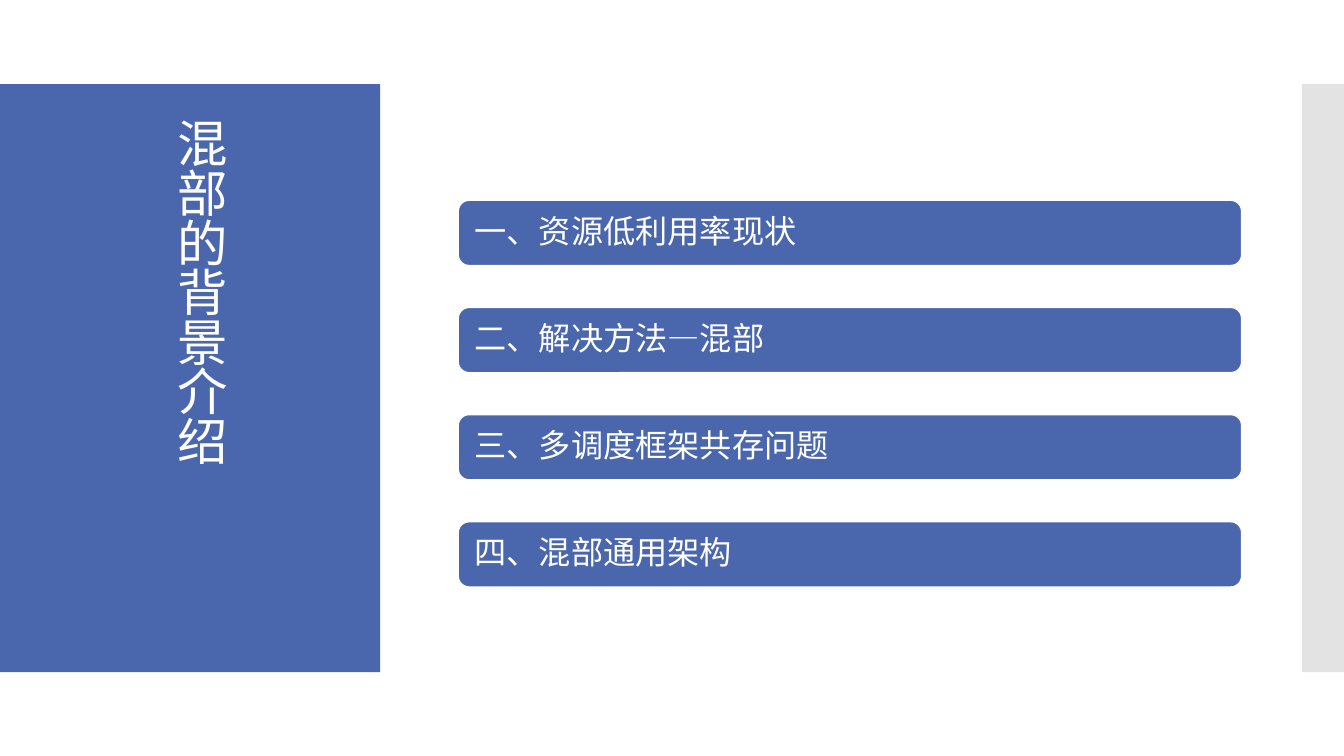
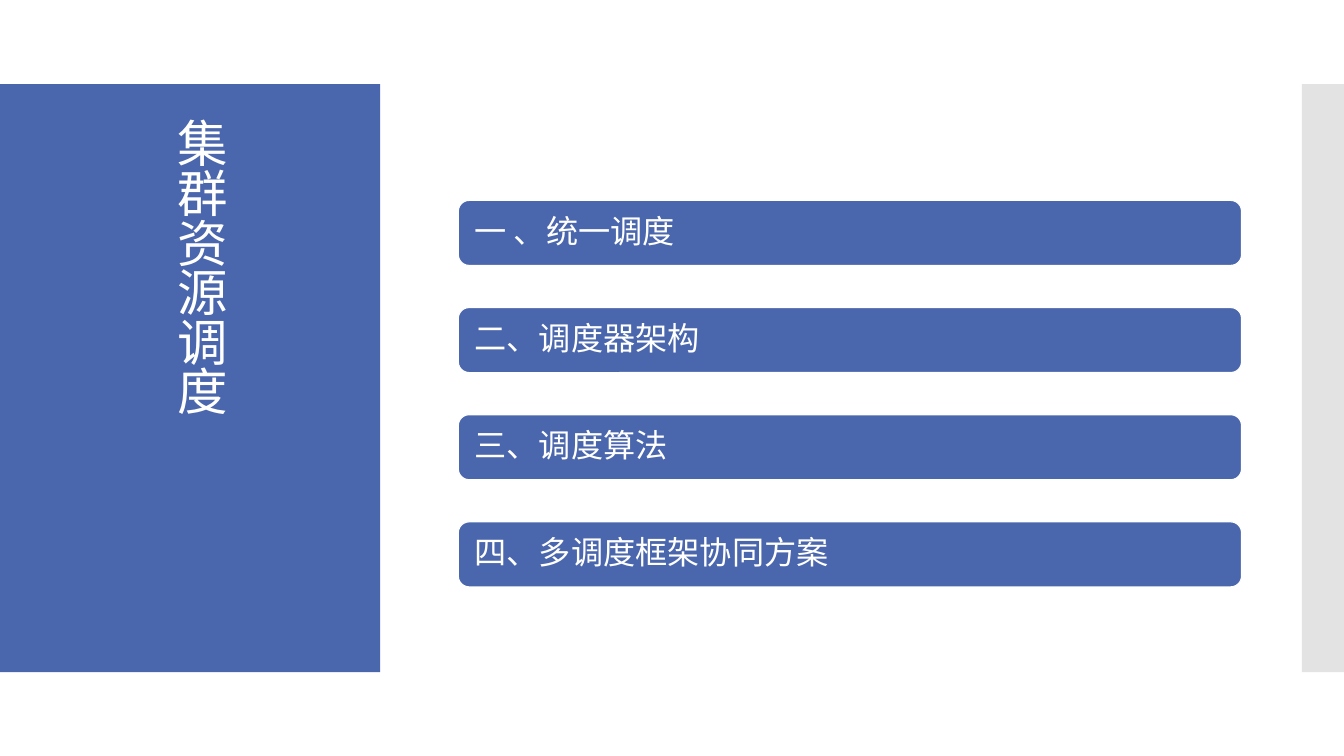
from lxml.etree import SubElement
from pptx import Presentation
from pptx.dml.color import RGBColor
from pptx.enum.shapes import MSO_SHAPE as Shape
from pptx.enum.text import MSO_ANCHOR as Anchor, PP_ALIGN as Align
from pptx.oxml.ns import qn
from pptx.util import Cm, Pt

BLUE, GREY, WHITE = "4A66AC", "C8C8C8", "FFFFFF"
FONT = "Calibri"
BAND_TOP, BAND_HEIGHT = 2.12, 14.82
BAR_LEFT, BAR_TOP, BAR_WIDTH, BAR_HEIGHT = 11.55, 5.05, 19.74, 1.64
BAR_PITCH = 2.7

FRAME_FORMAT = {"word_wrap": True, "vertical_anchor": Anchor.MIDDLE}
BAR_MARGINS = {"margin_left": Cm(0.33), "margin_right": Cm(0.33),
               "margin_top": Cm(0.25), "margin_bottom": Cm(0.25)}
PARAGRAPH_FORMAT = {"alignment": Align.LEFT, "line_spacing": 0.9}

SECTIONS = [
    ("混部的背景介绍", 13.76,
     ["一、资源低利用率现状", "二、解决方法—混部", "三、多调度框架共存问题", "四、混部通用架构"]),
    ("集群资源调度", 10.46,
     ["一 、统一调度", "二、调度器架构", "三、调度算法", "四、多调度框架协同方案"]),
]


def color(value):
    return RGBColor.from_string(value)


def apply_format(target, values):
    for name, value in values.items():
        setattr(target, name, value)


def add_block(slide, kind, left, top, width, height, fill):
    shape = slide.shapes.add_shape(kind, Cm(left), Cm(top), Cm(width), Cm(height))
    shape.shadow.inherit = False
    shape.fill.solid()
    shape.fill.fore_color.rgb = color(fill)
    shape.line.fill.background()
    return shape


def write_text(frame, text, size):
    apply_format(frame, FRAME_FORMAT)
    paragraph = frame.paragraphs[0]
    apply_format(paragraph, PARAGRAPH_FORMAT)
    run = paragraph.add_run()
    run.text = text
    apply_format(run.font, {"name": FONT, "size": Pt(size)})
    run.font.color.rgb = color(WHITE)
    return run


def add_bands(slide):
    add_block(slide, Shape.RECTANGLE, 0, BAND_TOP, 9.58, BAND_HEIGHT, BLUE)
    edge = add_block(slide, Shape.RECTANGLE, 32.81, BAND_TOP, 1.06, BAND_HEIGHT, GREY)
    fill_color = next(edge._element.spPr.iter(qn("a:srgbClr")))
    SubElement(fill_color, qn("a:alpha"), val="50000")


def add_vertical_title(slide, text, height):
    box = slide.shapes.add_textbox(Cm(1.06), Cm(2.74), Cm(7.82), Cm(height))
    run = write_text(box.text_frame, text, 36)
    box.text_frame._txBody.bodyPr.set("vert", "eaVert")
    run._r.get_or_add_rPr().set("spc", "-60")


def add_agenda(slide, items):
    for index, item in enumerate(items):
        bar = add_block(slide, Shape.ROUNDED_RECTANGLE, BAR_LEFT,
                        BAR_TOP + index * BAR_PITCH, BAR_WIDTH, BAR_HEIGHT, BLUE)
        bar.line.color.rgb = color(WHITE)
        bar.line.width = Pt(0.85)
        apply_format(bar.text_frame, BAR_MARGINS)
        write_text(bar.text_frame, item, 23)


def main():
    presentation = Presentation()
    apply_format(presentation, {"slide_width": Cm(33.87), "slide_height": Cm(19.05)})
    for title, title_height, items in SECTIONS:
        slide = presentation.slides.add_slide(presentation.slide_layouts[6])
        add_bands(slide)
        add_vertical_title(slide, title, title_height)
        add_agenda(slide, items)
    presentation.save("out.pptx")


if __name__ == "__main__":
    main()
